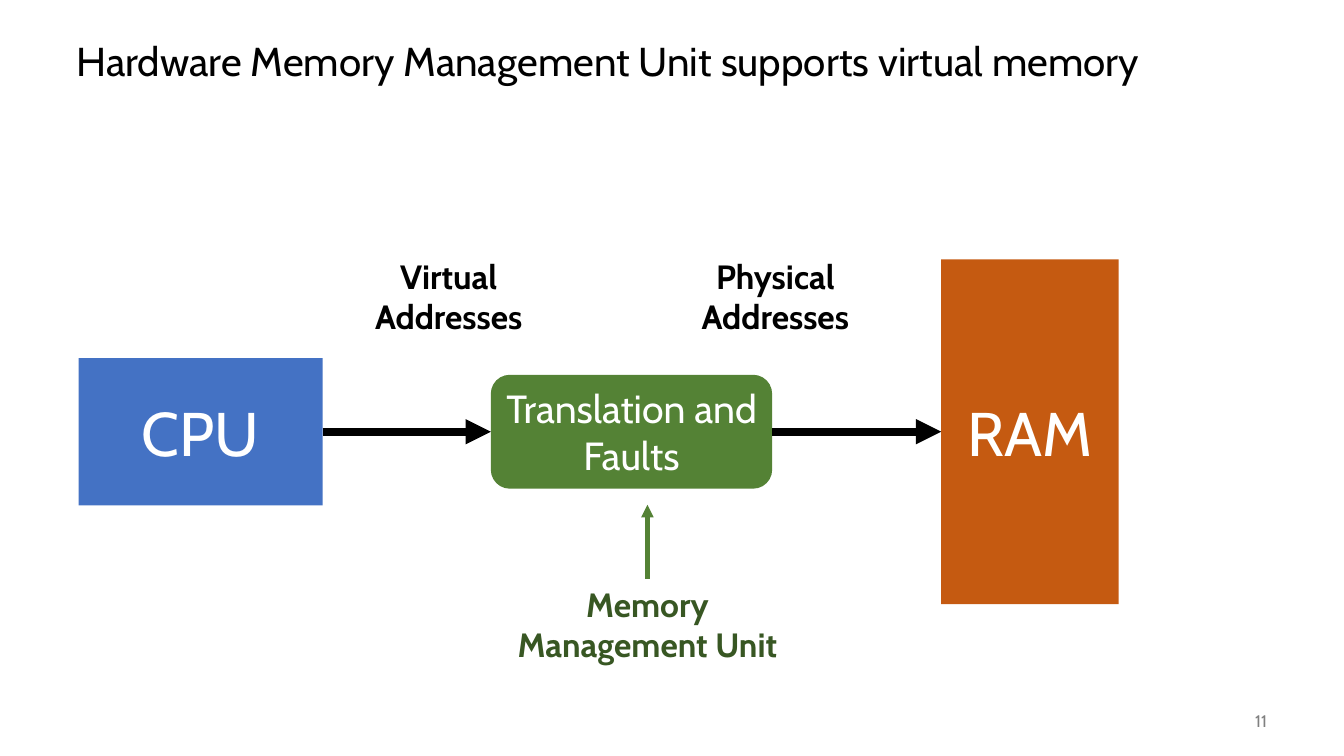
from pptx import Presentation
from pptx import util as u
from pptx.dml.color import RGBColor
from pptx.enum import shapes, text
from pptx.oxml.ns import qn
from lxml import etree

BLACK = RGBColor(0x00, 0x00, 0x00)
WHITE = RGBColor(0xFF, 0xFF, 0xFF)
GRAY = RGBColor(0x80, 0x80, 0x80)
BLUE = RGBColor(0x44, 0x72, 0xC4)
ORANGE = RGBColor(0xC5, 0x5A, 0x11)
GREEN = RGBColor(0x54, 0x82, 0x35)
DARK_GREEN = RGBColor(0x38, 0x57, 0x23)

TOP, LEFT, BOTTOM, RIGHT = range(4)
RECT = shapes.MSO_SHAPE.RECTANGLE
ROUNDED = shapes.MSO_SHAPE.ROUNDED_RECTANGLE
CENTER = text.PP_ALIGN.CENTER


def write(sp, words, size, color, align, anchor=text.MSO_ANCHOR.MIDDLE, bold=False):
    tf = sp.text_frame
    for name, value in {"word_wrap": True, "vertical_anchor": anchor}.items():
        setattr(tf, name, value)
    p = tf.paragraphs[0]
    p.text = words
    p.alignment = align
    for r in p.runs:
        font = {"name": "Cabin", "size": u.Pt(size), "bold": bold}
        for name, value in font.items():
            setattr(r.font, name, value)
        r.font.color.rgb = color
    return p


def add_text(s, box, *args, **kwargs):
    sp = s.shapes.add_textbox(*map(u.Cm, box))
    return write(sp, *args, **kwargs)


def add_block(s, kind, box, fill, words, size):
    sp = s.shapes.add_shape(kind, *map(u.Cm, box))
    sp.shadow.inherit = False
    sp.fill.solid()
    sp.fill.fore_color.rgb = fill
    sp.line.fill.background()
    write(sp, words, size, WHITE, CENTER)
    return sp


def add_arrow(s, color, width, ends=(0, 0, 0, 0)):
    cn = s.shapes.add_connector(shapes.MSO_CONNECTOR.STRAIGHT, *map(u.Cm, ends))
    cn.line.color.rgb = color
    cn.line.width = u.Pt(width)
    etree.SubElement(cn.line._get_or_add_ln(), qn("a:tailEnd"), type="triangle")
    etree.SubElement(cn._element.spPr, qn("a:effectLst"))
    return cn


def add_title(s, box):
    p = add_text(s, box, "Hardware Memory Management Unit supports virtual memory",
                 28.8, BLACK, text.PP_ALIGN.LEFT)
    p.line_spacing = 0.9


def add_page_number(s, box):
    add_text(s, box, "11", 12, GRAY, text.PP_ALIGN.RIGHT)


def add_diagram(s, x, y, w):
    axis = y + 4.56

    # Address and unit labels
    label_w, label_h, unit_w, unit_y = 9.98, 2.31, 8.15, y + 8.26
    unit_x = x + 10.26
    for box, words, color in (
        ((x + 4.34, y, label_w, label_h), "Virtual\vAddresses", BLACK),
        ((x + 12.57, y, label_w, label_h), "Physical\vAddresses", BLACK),
        ((unit_x, unit_y, unit_w, label_h), "Memory Management Unit", DARK_GREEN),
    ):
        add_text(s, box, words, 24, color, CENTER, text.MSO_ANCHOR.TOP, bold=True)

    # Blocks centred on one axis
    ram_w = 4.47
    blocks = [
        add_block(s, kind, (left, axis - height / 2, width, height), fill, words, size)
        for kind, left, width, height, fill, words, size in (
            (RECT, x, 6.15, 3.71, BLUE, "CPU", 44),
            (ROUNDED, x + 10.39, 7.09, 2.87, GREEN, "Translation and Faults", 28),
            (RECT, x + w - ram_w, ram_w, 8.69, ORANGE, "RAM", 44),
        )
    ]

    # Arrows between neighbours
    for source, target in zip(blocks, blocks[1:]):
        cn = add_arrow(s, BLACK, 6)
        cn.begin_connect(source, RIGHT)
        cn.end_connect(target, LEFT)

    # Arrow from the unit label up to its block
    mid = unit_x + unit_w / 2
    add_arrow(s, GREEN, 3, (mid, unit_y, mid, unit_y - 1.86))


def main():
    prs = Presentation()
    prs.slide_width, prs.slide_height = u.Cm(33.87), u.Cm(19.05)
    s = prs.slides.add_slide(prs.slide_layouts[6])
    add_title(s, (1.68, 0.64, 30.48, 1.9))
    add_diagram(s, 1.98, 6.32, 26.21)
    add_page_number(s, (29.64, 17.65, 2.54, 1.02))
    prs.save("out.pptx")


if __name__ == "__main__":
    main()
